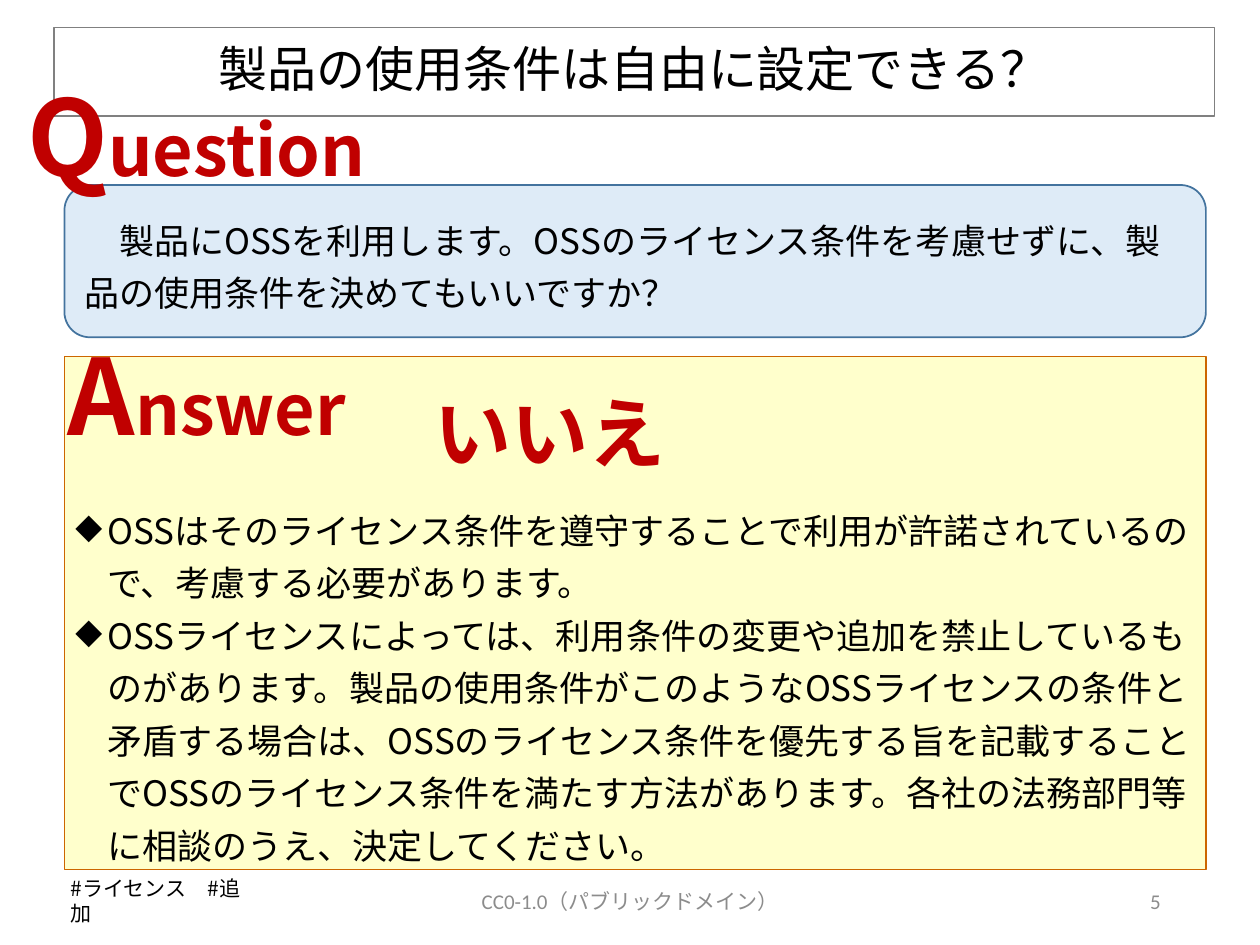
from dataclasses import dataclass

from lxml.etree import SubElement
from pptx import Presentation
from pptx.dml.color import RGBColor
from pptx.enum.shapes import MSO_SHAPE
from pptx.enum.text import MSO_ANCHOR, MSO_AUTO_SIZE, PP_ALIGN
from pptx.oxml.ns import qn
from pptx.util import Cm, Pt


@dataclass(frozen=True)
class Theme:
    font: str = "Noto Sans CJK JP"
    small: str = "Calibri"
    ink: str = "000000"
    red: str = "C00000"
    grey: str = "8C8C8C"
    frame: str = "808080"
    blue: str = "DEEBF7"
    navy: str = "43739E"
    cream: str = "FFFFCC"
    brown: str = "CC6600"
    head: int = 28
    body: int = 20
    note: int = 12
    cap: int = 60
    word: int = 40
    reply: int = 44
    lead: int = 30


class Page:
    def __init__(self, deck, theme):
        self.theme = theme
        self.slide = deck.slides.add_slide(deck.slide_layouts[5])

    def style(self, run, size, color=None, bold=False, font=None):
        """Format a run, giving Japanese glyphs the theme font."""
        run.font.size = Pt(size)
        run.font.bold = bold
        run.font.name = font or self.theme.font
        run.font.color.rgb = RGBColor.from_string(color or self.theme.ink)
        asian = SubElement(run.font._element, qn("a:ea"))
        asian.set("typeface", self.theme.font)

    def title(self, text, box):
        shape = self.slide.shapes.title
        shape.left, shape.top, shape.width, shape.height = map(Cm, box)
        shape.line.color.rgb = RGBColor.from_string(self.theme.frame)
        shape.line.width = Pt(0.75)
        frame = shape.text_frame
        frame.text = text
        frame.auto_size = MSO_AUTO_SIZE.NONE
        frame.vertical_anchor = MSO_ANCHOR.MIDDLE
        para = frame.paragraphs[0]
        para.alignment = PP_ALIGN.CENTER
        para.line_spacing = 0.9
        self.style(para.runs[0], self.theme.head)

    def panel(self, kind, box, fill, line, text=""):
        shape = self.slide.shapes.add_shape(kind, *map(Cm, box))
        shape.shadow.inherit = False
        shape.fill.solid()
        shape.fill.fore_color.rgb = RGBColor.from_string(fill)
        shape.line.color.rgb = RGBColor.from_string(line)
        shape.line.width = Pt(1)
        if text:
            frame = shape.text_frame
            frame.text = text
            frame.vertical_anchor = MSO_ANCHOR.MIDDLE
            para = frame.paragraphs[0]
            para.alignment = PP_ALIGN.LEFT
            para.line_spacing = Pt(self.theme.lead)
            self.style(para.runs[0], self.theme.body)

    def frame(self, box, anchor=MSO_ANCHOR.TOP):
        frame = self.slide.shapes.add_textbox(*map(Cm, box)).text_frame
        frame.word_wrap = True
        frame.vertical_anchor = anchor
        return frame

    def label(self, text, box, size, color=None, bold=False):
        frame = self.frame(box)
        frame.text = text
        self.style(frame.paragraphs[0].runs[0], size, color, bold)

    def footer(self, text, box, align):
        frame = self.frame(box, MSO_ANCHOR.MIDDLE)
        frame.text = text
        para = frame.paragraphs[0]
        para.alignment = align
        self.style(para.runs[0], self.theme.note, self.theme.grey,
                   font=self.theme.small)

    def heading(self, text, box):
        """Write a word whose first letter is larger than the rest."""
        para = self.frame(box).paragraphs[0]
        for part, size in ((text[0], self.theme.cap),
                           (text[1:], self.theme.word)):
            run = para.add_run()
            run.text = part
            self.style(run, size, self.theme.red, True)

    def bullets(self, items, box):
        frame = self.frame(box)
        frame.text = "\n".join(items)
        for para in frame.paragraphs:
            para.line_spacing = Pt(self.theme.lead)
            props = para._p.get_or_add_pPr()
            props.set("marL", str(Cm(0.64)))
            props.set("indent", str(-Cm(0.64)))
            SubElement(props, qn("a:buChar")).set("char", "◆")
            self.style(para.runs[0], self.theme.body)


def main():
    deck = Presentation()
    deck.slide_width, deck.slide_height = Cm(25.4), Cm(19.05)
    theme = Theme()
    page = Page(deck, theme)
    left, wide = 1.3, 23.01

    page.panel(MSO_SHAPE.RECTANGLE, (left, 7.19, wide, 10.34),
               theme.cream, theme.brown)
    page.title("製品の使用条件は自由に設定できる？", (1.09, 0.56, 23.39, 1.78))
    page.bullets([
        "OSSはそのライセンス条件を遵守することで利用が許諾されているので、"
        "考慮する必要があります。",
        "OSSライセンスによっては、利用条件の変更や追加を禁止しているものがあります。"
        "製品の使用条件がこのようなOSSライセンスの条件と矛盾する場合は、"
        "OSSのライセンス条件を優先する旨を記載することで"
        "OSSのライセンス条件を満たす方法があります。"
        "各社の法務部門等に相談のうえ、決定してください。",
    ], (1.27, 9.93, 23.04, 7.59))
    page.panel(MSO_SHAPE.ROUNDED_RECTANGLE, (left, 3.73, wide, 3.07),
               theme.blue, theme.navy,
               "　製品にOSSを利用します。OSSのライセンス条件を考慮せずに、"
               "製品の使用条件を決めてもいいですか？")

    page.heading("Question", (0.3, 1.32, 7.8, 2.82))
    page.heading("Answer", (1.12, 6.53, 6.68, 2.82))
    page.label("いいえ", (8.51, 7.65, 10.39, 2.13), theme.reply, theme.red, True)

    page.label("#ライセンス　#追加", (1.17, 17.53, 3.94, 0.76), theme.note)
    page.footer("CC0-1.0（パブリックドメイン）", (8.41, 17.65, 8.59, 1.02),
                PP_ALIGN.CENTER)
    page.footer("5", (17.93, 17.65, 5.72, 1.02), PP_ALIGN.RIGHT)
    deck.save("out.pptx")


if __name__ == "__main__":
    main()
